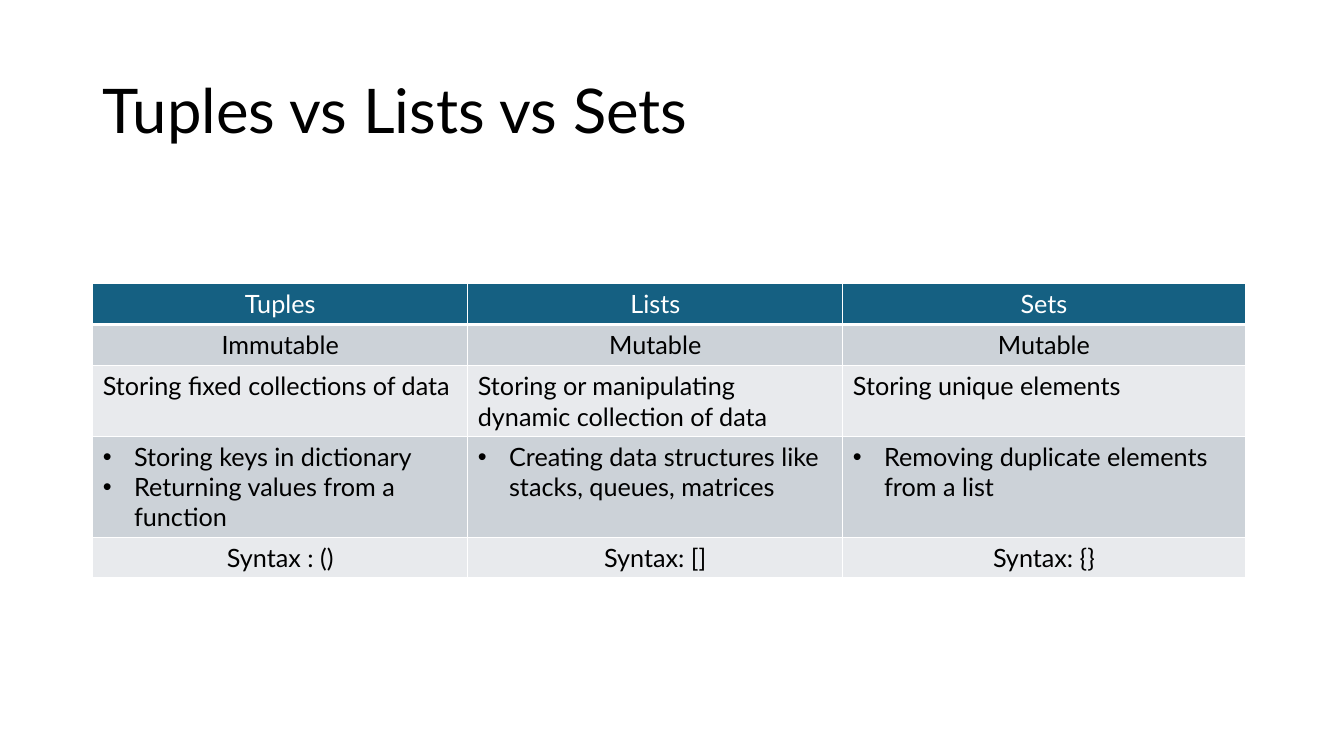
from dataclasses import dataclass

from lxml.etree import SubElement
from pptx import Presentation
from pptx.dml.color import RGBColor
from pptx.enum.text import MSO_ANCHOR, PP_ALIGN
from pptx.oxml.ns import qn
from pptx.slide import Slide
from pptx.table import _Cell as Cell
from pptx.util import Inches, Pt

FONT = "Lato"
BLACK = "000000"
WHITE = "FFFFFF"
HEADER_BLUE = "156082"
DARK_BAND = "CCD2D8"
LIGHT_BAND = "E8EAED"
COLUMN_WIDTHS = (3.72, 3.72, 3.99)


@dataclass(frozen=True)
class TableRow:
    cells: tuple[str, ...]
    height: float
    fill: str
    color: str = BLACK
    centered: bool = False
    bulleted: bool = False
    top_line: float = 1
    bottom_line: float = 1


ROWS = (
    TableRow(("Tuples", "Lists", "Sets"), 0.41, HEADER_BLUE,
             color=WHITE, centered=True, bottom_line=3),
    TableRow(("Immutable", "Mutable", "Mutable"), 0.41, DARK_BAND,
             centered=True, top_line=3),
    TableRow(("Storing fixed collections of data",
              "Storing or manipulating dynamic collection of data",
              "Storing unique elements"), 0.7, LIGHT_BAND),
    TableRow(("Storing keys in dictionary\nReturning values from a function",
              "Creating data structures like stacks, queues, matrices",
              "Removing duplicate elements from a list"), 1.0, DARK_BAND,
             bulleted=True),
    TableRow(("Syntax : ()", "Syntax: []", "Syntax: {}"), 0.4, LIGHT_BAND,
             centered=True),
)


def rgb(color: str) -> RGBColor:
    return RGBColor.from_string(color)


def add_run(paragraph, text: str, size: float, color: str) -> None:
    run = paragraph.add_run()
    run.text = text
    run.font.name = FONT
    run.font.size = Pt(size)
    run.font.color.rgb = rgb(color)


def add_bullet(paragraph) -> None:
    properties = paragraph._p.get_or_add_pPr()
    indent = Inches(0.31)
    properties.set("marL", str(indent))
    properties.set("indent", str(-indent))
    SubElement(properties, qn("a:buFont"), typeface="Arial")
    SubElement(properties, qn("a:buChar"), char="•")


def set_borders(cell: Cell, top: float, bottom: float) -> None:
    properties = cell._tc.get_or_add_tcPr()
    for side, width in (("L", 1), ("R", 1), ("T", top), ("B", bottom)):
        line = SubElement(properties, qn(f"a:ln{side}"), w=str(Pt(width)))
        fill = SubElement(line, qn("a:solidFill"))
        SubElement(fill, qn("a:srgbClr"), val=WHITE)


def fill_cell(cell: Cell, text: str, row: TableRow) -> None:
    set_borders(cell, row.top_line, row.bottom_line)
    cell.fill.solid()
    cell.fill.fore_color.rgb = rgb(row.fill)
    frame = cell.text_frame
    for index, line in enumerate(text.split("\n")):
        paragraph = frame.add_paragraph() if index else frame.paragraphs[0]
        if row.centered:
            paragraph.alignment = PP_ALIGN.CENTER
        if row.bulleted:
            add_bullet(paragraph)
        add_run(paragraph, line, 18, row.color)


def add_title(slide: Slide, text: str) -> None:
    title = slide.shapes.title
    title.left, title.top = Inches(0.92), Inches(0.4)
    title.width, title.height = Inches(11.5), Inches(1.45)
    frame = title.text_frame
    frame.word_wrap = True
    frame.vertical_anchor = MSO_ANCHOR.MIDDLE
    paragraph = frame.paragraphs[0]
    paragraph.alignment = PP_ALIGN.LEFT
    paragraph.line_spacing = 0.9
    add_run(paragraph, text, 44, BLACK)


def add_comparison(slide: Slide) -> None:
    table = slide.shapes.add_table(
        len(ROWS), len(COLUMN_WIDTHS), Inches(0.92), Inches(2.81),
        Inches(sum(COLUMN_WIDTHS)), Inches(sum(row.height for row in ROWS)),
    ).table
    for column, width in zip(table.columns, COLUMN_WIDTHS):
        column.width = Inches(width)
    for table_row, row in zip(table.rows, ROWS):
        table_row.height = Inches(row.height)
        for cell, text in zip(table_row.cells, row.cells):
            fill_cell(cell, text, row)


def main() -> None:
    presentation = Presentation()
    presentation.slide_width = Inches(13.33)
    presentation.slide_height = Inches(7.5)
    slide = presentation.slides.add_slide(presentation.slide_layouts[5])
    add_title(slide, "Tuples vs Lists vs Sets")
    add_comparison(slide)
    presentation.save("out.pptx")


if __name__ == "__main__":
    main()
